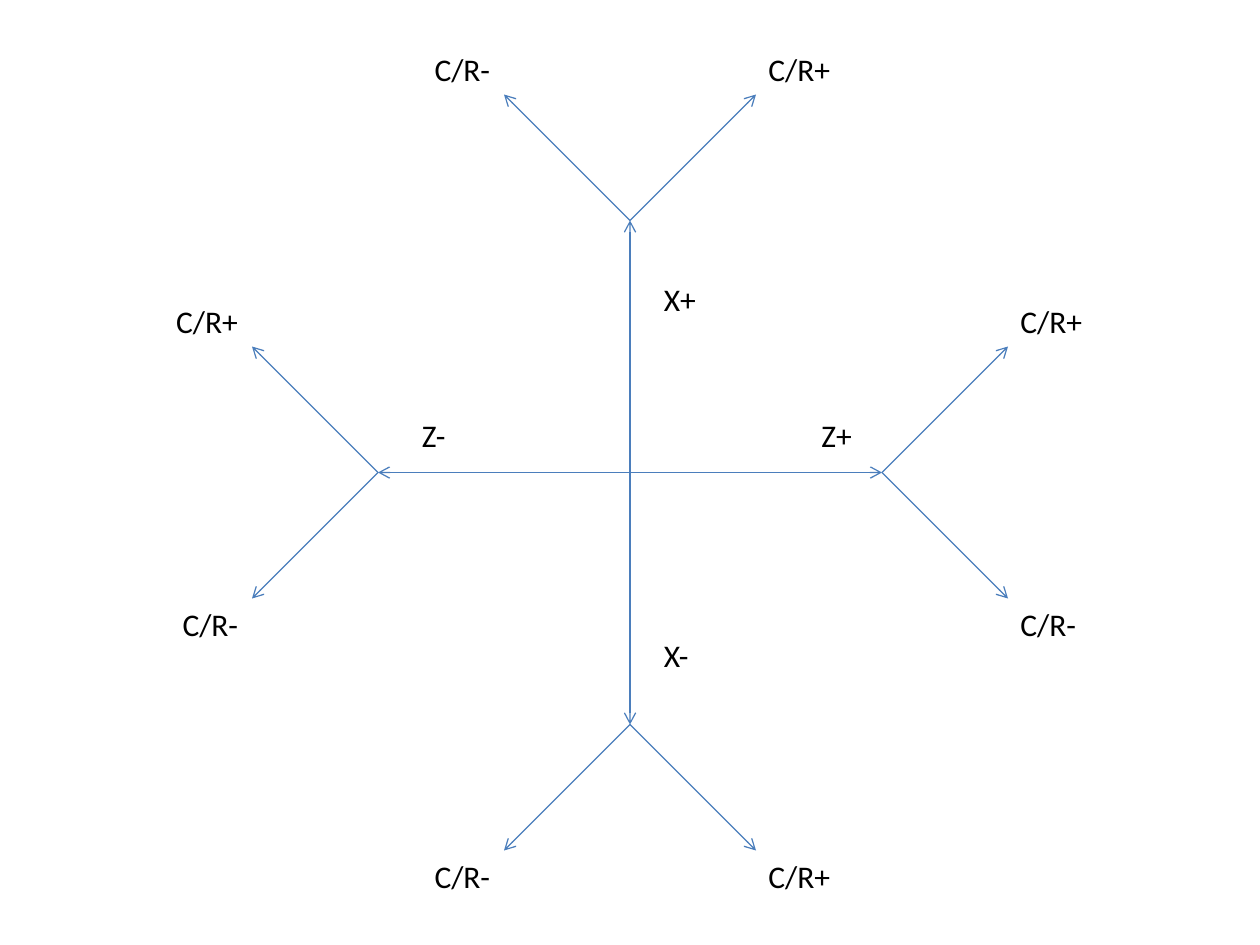
from dataclasses import dataclass
from typing import Any

from lxml import etree
from pptx import Presentation
from pptx import util as u
from pptx.dml import color
from pptx.enum import shapes, text
from pptx.oxml import ns

PX = 9144


@dataclass(frozen=True)
class Theme:
    line: color.RGBColor = color.RGBColor(0x4B, 0x7E, 0xBC)
    ink: color.RGBColor = color.RGBColor(0, 0, 0)
    font: str = "Calibri"
    size: u.Pt = u.Pt(18)
    width: u.Pt = u.Pt(0.75)


@dataclass(frozen=True)
class Point:
    x: int
    y: int

    def move(self, dx: int, dy: int) -> "Point":
        return Point(self.x + dx, self.y + dy)


@dataclass(frozen=True)
class Label:
    text: str
    at: Point
    width: int


@dataclass(frozen=True)
class Arm:
    dx: int
    dy: int
    label: Label


THEME = Theme()
HUB = Point(500, 375)
REACH, FORK, HIGH = 200, 100, 40
WIDE = {"+": 70, "-": 65}
ARMS = [
    Arm(1, 0, Label("Z+", Point(642, 325), 45)),
    Arm(0, -1, Label("X+", Point(517, 217), 46)),
    Arm(0, 1, Label("X-", Point(517, 500), 41)),
    Arm(-1, 0, Label("Z-", Point(325, 325), 40)),
]


def style(item: Any, form: dict[str, Any]) -> None:
    for key, value in form.items():
        setattr(item, key, value)


def arrow(slide: Any, start: Point, end: Point) -> None:
    ends = [v * PX for v in (start.x, start.y, end.x, end.y)]
    link = slide.shapes.add_connector(shapes.MSO_CONNECTOR.STRAIGHT, *ends)
    link.line.fill.solid()
    style(link.line, {"width": THEME.width})
    style(link.line.color, {"rgb": THEME.line})
    tail = etree.SubElement(link.line._get_or_add_ln(), ns.qn("a:tailEnd"))
    tail.set("type", "arrow")
    etree.SubElement(link._element.spPr, ns.qn("a:effectLst"))


def write(slide: Any, label: Label) -> None:
    spot = [v * PX for v in (label.at.x, label.at.y, label.width, HIGH)]
    frame = slide.shapes.add_textbox(*spot).text_frame
    style(frame, {"word_wrap": False, "auto_size": text.MSO_AUTO_SIZE.SHAPE_TO_FIT_TEXT})
    run = frame.paragraphs[0].add_run()
    style(run, {"text": label.text})
    style(run.font, {"name": THEME.font, "size": THEME.size})
    style(run.font.color, {"rgb": THEME.ink})


def branch(slide: Any, node: Point, dx: int, dy: int, sign: str) -> None:
    tip = node.move(dx * FORK, dy * FORK)
    wide = WIDE[sign]
    arrow(slide, node, tip)
    spot = tip.move(0 if dx > 0 else -wide, 0 if dy > 0 else -HIGH)
    write(slide, Label("C/R" + sign, spot, wide))


def draw(slide: Any, arm: Arm) -> None:
    node = HUB.move(arm.dx * REACH, arm.dy * REACH)
    arrow(slide, HUB, node)
    write(slide, arm.label)
    for side, sign in ((1, "+"), (-1, "-")):
        branch(slide, node, arm.dx or side, arm.dy or -side, sign)


def main() -> None:
    deck = Presentation()
    style(deck, {"slide_width": 1000 * PX, "slide_height": 750 * PX})
    slide = deck.slides.add_slide(deck.slide_layouts[6])
    for arm in ARMS:
        draw(slide, arm)
    deck.save("out.pptx")


if __name__ == "__main__":
    main()
